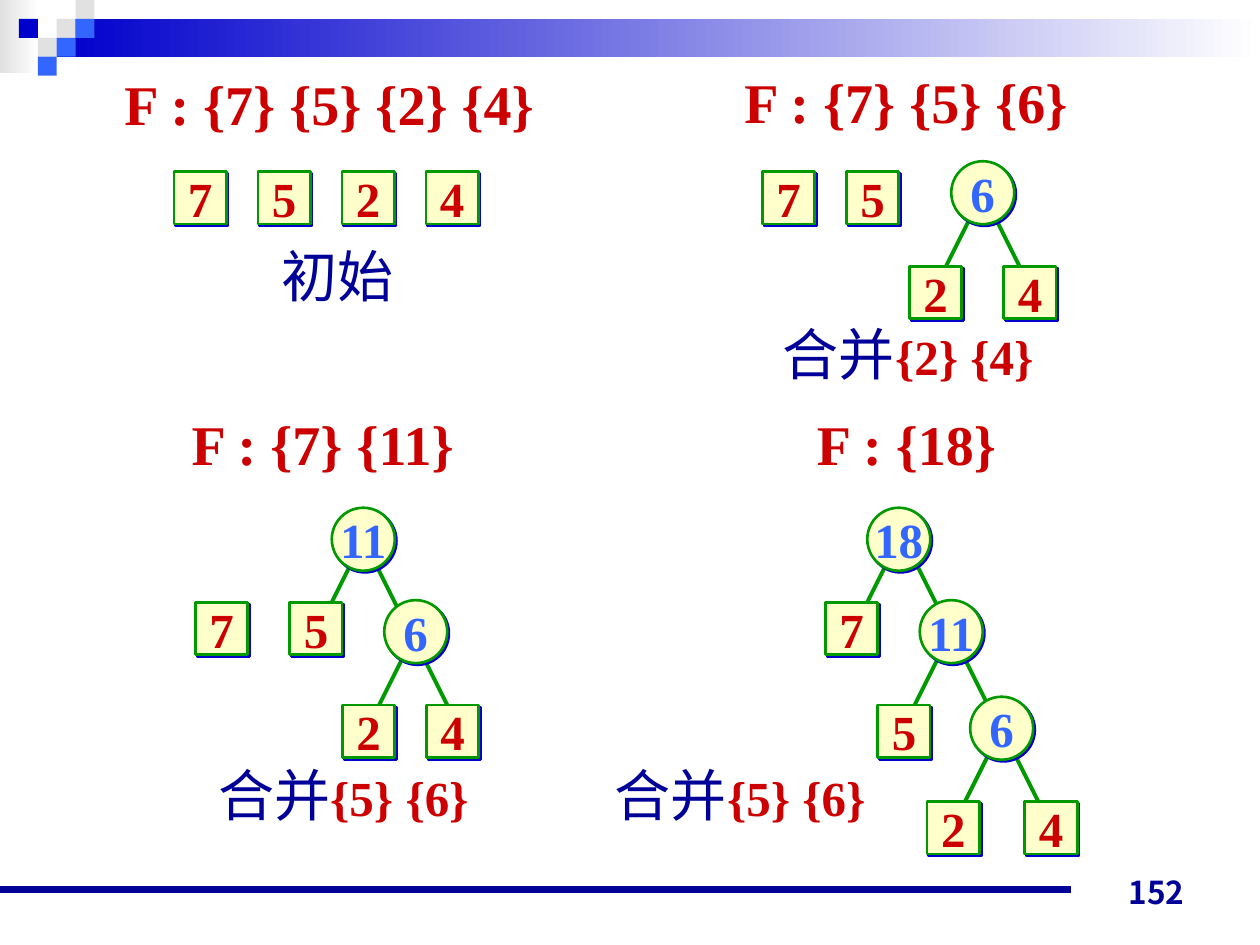
from lxml.etree import SubElement
from pptx import Presentation
from pptx.dml.color import RGBColor
from pptx.enum.shapes import MSO_CONNECTOR, MSO_SHAPE
from pptx.enum.text import MSO_ANCHOR, PP_ALIGN
from pptx.oxml.ns import qn
from pptx.util import Inches, Pt

RECT, OVAL = MSO_SHAPE.RECTANGLE, MSO_SHAPE.OVAL
STRAIGHT = MSO_CONNECTOR.STRAIGHT
MIDDLE, BOTTOM = MSO_ANCHOR.MIDDLE, MSO_ANCHOR.BOTTOM
CENTER, RIGHT = PP_ALIGN.CENTER, PP_ALIGN.RIGHT

UNIT = 1 / 12
TILE = 0.15
LEAF, ROOT = 5, 6
TEXT_ROWS = 7.7
SERIF, SANS = "Times New Roman", "Noto Sans CJK JP"
RED, NAVY, BLUE, SKY = "CC0000", "000099", "0000CC", "3366FF"
GREEN, CREAM, GREY, WHITE = "009900", "FFFFCC", "E1E1E1", "FFFFFF"

HEADING = {"size": Pt(32), "bold": True, "name": SERIF}
LABEL = {"size": Pt(32), "bold": False, "name": SERIF}
KEY = {"size": Pt(28), "bold": True, "name": SERIF}
NUMBER = {"size": Pt(18), "bold": True, "name": SANS}

TILES = [(3, 1, GREY), (4, 0, GREY), (4, 1, SKY), (2, 2, GREY),
         (1, 1, BLUE), (3, 2, SKY), (2, 3, SKY)]

STAGES = [
    {"origin": (1.38, 1.28),
     "heading": ("F : {7} {5} {2} {4}", -6, -9.4, 41.6),
     "caption": ("初始", "", 9, 7, 13.1),
     "leaves": [("7", 0, 1), ("5", 8, 1), ("2", 16, 1), ("4", 24, 1)],
     "roots": []},
    {"origin": (6.05, 1.28),
     "heading": ("F : {7} {5} {6}", -3, -9.6, 33.4),
     "caption": ("合并", "{2} {4}", 0, 14.4, 27.8),
     "leaves": [("7", 0, 1), ("5", 8, 1), ("2", 14, 10), ("4", 23, 10)],
     "roots": [("6", 18, 0, 5, 5)]},
    {"origin": (1.55, 4.03),
     "heading": ("F : {7} {11} ", -1.8, -10, 29.2),
     "caption": ("合并", "{5} {6}", 0.2, 23.4, 27.8),
     "leaves": [("7", 0, 9), ("5", 9, 9), ("2", 14, 18.8), ("4", 22, 18.8)],
     "roots": [("6", 18, 8.8, 5, 6), ("11", 13, 0, 5, 5)]},
    {"origin": (6.55, 4.03),
     "heading": ("F : {18} ", -2.1, -10, 21),
     "caption": ("合并", "{5} {6}", -22, 23.4, 27.8),
     "leaves": [("7", 0, 9), ("5", 5, 18.8), ("2", 9.7, 28), ("4", 19, 28)],
     "roots": [("6", 13.8, 18, 5, 5), ("11", 9, 8.8, 5, 5),
               ("18", 4, 0, 5, 4)]},
]


def rgb(value):
    """Turn a hex string into a colour."""
    return RGBColor.from_string(value)


def write(frame, runs, align=CENTER, anchor=MIDDLE):
    """Write (text, format, colour) runs as one paragraph."""
    frame.word_wrap = False
    frame.vertical_anchor = anchor
    paragraph = frame.paragraphs[0]
    paragraph.alignment = align
    for text, style, color in runs:
        run = paragraph.add_run()
        run.text = text
        for attribute, value in style.items():
            setattr(run.font, attribute, value)
        run.font.color.rgb = rgb(color)


def add_text(slide, box, runs, align=CENTER, anchor=MIDDLE):
    """Add a text box in a box given in inches."""
    words = slide.shapes.add_textbox(*map(Inches, box))
    write(words.text_frame, runs, align, anchor)


def add_block(slide, kind, box, color, fade=False):
    """Add a borderless or fading shape without a shadow."""
    block = slide.shapes.add_shape(kind, *map(Inches, box))
    block.shadow.inherit = False
    block.line.fill.background()
    if fade:
        block.fill.gradient()
        block.fill.gradient_angle = 0
        for stop, shade, position in zip(block.fill.gradient_stops, (color, WHITE), (0, 1)):
            stop.color.rgb = rgb(shade)
            stop.position = position
    else:
        block.fill.solid()
        block.fill.fore_color.rgb = rgb(color)
    return block


def add_line(slide, start, end, color, width):
    """Draw a straight line between two points in inches."""
    line = slide.shapes.add_connector(STRAIGHT, *map(Inches, (*start, *end)))
    line.line.color.rgb = rgb(color)
    line.line.width = Pt(width)
    SubElement(line._element.spPr, qn("a:effectLst"))


def add_node(slide, kind, box, key, color):
    """Add a tree node with its key and a hard offset shadow."""
    node = add_block(slide, kind, box, CREAM)
    node.line.color.rgb = rgb(GREEN)
    node.line.width = Pt(1.5)
    effects = node._element.spPr.find(qn("a:effectLst"))
    shadow = SubElement(effects, qn("a:outerShdw"), dist=str(Pt(1.4)),
                        dir="2700000", algn="ctr", rotWithShape="0")
    SubElement(shadow, qn("a:srgbClr"), val=BLUE)
    for side in ("left", "top", "right", "bottom"):
        setattr(node.text_frame, f"margin_{side}", 0)
    write(node.text_frame, [(key, KEY, color)])


def add_stage(slide, origin, heading, caption, leaves, roots):
    """Draw one merging step on a grid that starts at its origin."""
    left, top = origin

    def place(column, row):
        return left + column * UNIT, top + row * UNIT

    def area(column, row, columns, rows):
        return (*place(column, row), columns * UNIT, rows * UNIT)

    title, *title_area = heading
    add_text(slide, area(*title_area, TEXT_ROWS), [(title, HEADING, RED)])
    for _, column, row, left_drop, right_drop in roots:
        for offset, drop, reach in ((2, left_drop, -3), (4, right_drop, 3)):
            x, y = column + offset, row + drop
            add_line(slide, place(x, y), place(x + reach, y + 6), GREEN, 2.25)
    for key, column, row in leaves:
        add_node(slide, RECT, area(column, row, LEAF, LEAF), key, RED)
    for key, column, row, *_ in roots:
        add_node(slide, OVAL, area(column, row, ROOT, ROOT), key, SKY)
    action, merged, *caption_area = caption
    runs = [(action, LABEL, NAVY)]
    if merged:
        runs.append((merged, KEY, RED))
    add_text(slide, area(*caption_area, TEXT_ROWS), runs)


def add_header(slide, width):
    """Draw the fading band and its tiles along the top."""
    add_block(slide, RECT, (0, 0, 0.31, 0.58), GREY, fade=True)
    start = 3 * TILE
    add_block(slide, RECT, (start, TILE, width - start, 2 * TILE), BLUE, fade=True)
    for column, row, color in TILES:
        add_block(slide, RECT, (column * TILE, row * TILE, TILE, TILE), color)


def add_footer(slide, width):
    """Draw the rule and the page number."""
    add_line(slide, (0, 7.06), (0.85 * width, 7.06), NAVY, 4.5)
    add_text(slide, (7.17, 6.78, 2.33, 0.5), [("152", NUMBER, NAVY)], RIGHT, BOTTOM)


def main():
    """Build and save the slide."""
    deck = Presentation()
    deck.slide_width, deck.slide_height = Inches(10), Inches(7.5)
    slide = deck.slides.add_slide(deck.slide_layouts[6])
    add_header(slide, 10)
    add_footer(slide, 10)
    for stage in STAGES:
        add_stage(slide, **stage)
    deck.save("out.pptx")


if __name__ == "__main__":
    main()
